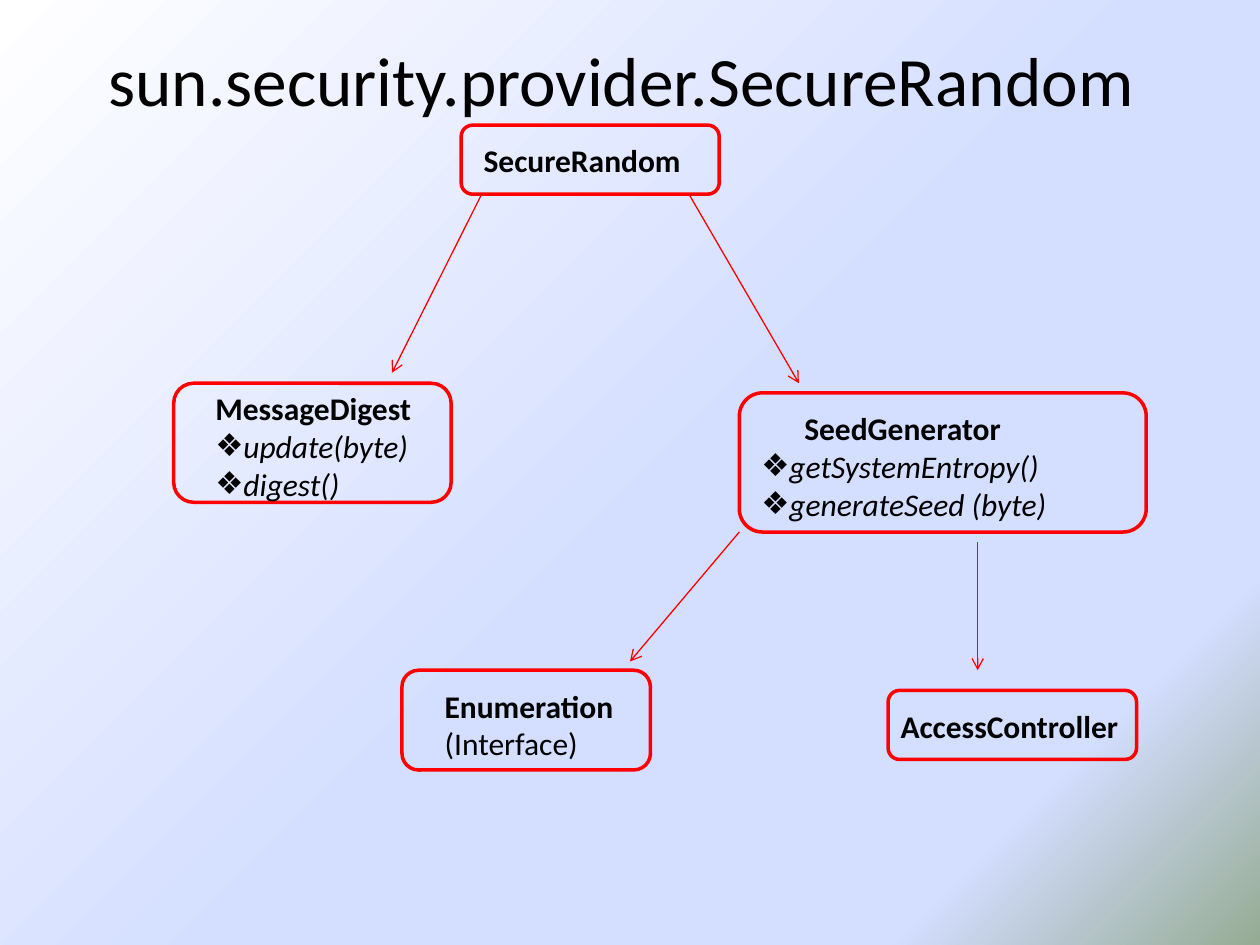
"""Build a class diagram slide for SecureRandom."""
import pptx
import pptx.util
import pptx.dml.color
import pptx.enum.shapes
import pptx.enum.text
import pptx.oxml
import pptx.oxml.ns
import lxml.etree

Pt = pptx.util.Pt
COLORS = {"text": "000000", "line": "FF0000", "white": "FFFFFF",
          "blue": "D4DEFF", "green": "96AB94"}
STOPS = [(0, "white"), (53, "blue"), (83, "blue"), (100, "green")]
FONT = "Calibri"


def rgb(name):
    return pptx.dml.color.RGBColor.from_string(COLORS[name])


def sub(parent, tag, **attrs):
    return lxml.etree.SubElement(parent, pptx.oxml.ns.qn(tag), **attrs)


def set_background(s):
    fill = s.background.fill
    fill.gradient()
    fill.gradient_angle = 315
    stops = s.background._cSld.find(".//" + pptx.oxml.ns.qn("a:gsLst"))
    for gs in list(stops):
        stops.remove(gs)
    for pos, name in STOPS:
        gs = sub(stops, "a:gs", pos=str(pos * 1000))
        sub(gs, "a:srgbClr", val=COLORS[name])


def write(p, text, size=18, bold=False, italic=False, bullet=None, indent=0, align=None):
    r = p.add_run()
    r.text = text
    r.font.name, r.font.size = FONT, Pt(size)
    r.font.bold, r.font.italic = bold, italic
    r.font.color.rgb = rgb("text")
    p.alignment = align
    pPr = p._p.get_or_add_pPr()
    pPr.set("marL", str(Pt(indent)))
    pPr.set("indent", "0")
    if bullet:
        sub(pPr, "a:buFont", typeface=FONT)
        sub(pPr, "a:buChar", char=bullet)


def add_title(s, text):
    sp = s.shapes.title
    sp.left, sp.top, sp.width, sp.height = Pt(31), Pt(0), Pt(648), Pt(90)
    tf = sp.text_frame
    tf.vertical_anchor = pptx.enum.text.MSO_ANCHOR.MIDDLE
    write(tf.paragraphs[0], text, size=39.6, align=pptx.enum.text.PP_ALIGN.CENTER)


def add_frame(s, x, y, w, h):
    sp = s.shapes.add_shape(pptx.enum.shapes.MSO_SHAPE.ROUNDED_RECTANGLE,
                            Pt(x), Pt(y), Pt(w), Pt(h))
    sp.shadow.inherit = False
    sp.fill.background()
    sp.line.color.rgb = rgb("line")
    sp.line.width = Pt(2)


def add_label(s, x, y, w, h, name, methods=(), note=None, indent=0):
    tf = s.shapes.add_textbox(Pt(x), Pt(y), Pt(w), Pt(h)).text_frame
    tf.word_wrap = True
    tf.auto_size = pptx.enum.text.MSO_AUTO_SIZE.SHAPE_TO_FIT_TEXT
    write(tf.paragraphs[0], name, bold=True, indent=indent)
    for method in methods:
        write(tf.add_paragraph(), method, italic=True, bullet="❖")
    if note:
        write(tf.add_paragraph(), note)


def add_arrow(s, x1, y1, x2, y2):
    sp = s.shapes.add_connector(pptx.enum.shapes.MSO_CONNECTOR.STRAIGHT,
                                Pt(x1), Pt(y1), Pt(x2), Pt(y2))
    sp.line.color.rgb = rgb("line")
    sp.line.width = Pt(0.75)
    sub(sp.line._get_or_add_ln(), "a:tailEnd", type="arrow")
    sub(sp._element.spPr, "a:effectLst")


def main():
    prs = pptx.Presentation()
    prs.slide_width, prs.slide_height = Pt(720), Pt(540)
    s = prs.slides.add_slide(prs.slide_layouts[5])
    set_background(s)
    add_title(s, "sun.security.provider.SecureRandom")

    classes = [
        ((263.5, 71.5, 147.5, 39.5), (269.3, 77, 136, 29), dict(name="SecureRandom")),
        ((99.3, 219, 158.5, 68), (116, 219, 136, 73),
         dict(name="MessageDigest", methods=["update(byte)", "digest()"])),
        ((422.5, 224.5, 232.5, 79.5), (428, 230.4, 209.5, 73),
         dict(name="SeedGenerator", indent=24.5,
              methods=["getSystemEntropy()", "generateSeed (byte)"])),
        ((507.5, 394.5, 142, 39.5), (507.5, 400.3, 181.5, 29), dict(name="AccessController")),
        ((229.7, 383, 142, 57), (247, 388.8, 119, 51),
         dict(name="Enumeration", note="(Interface)")),
    ]
    for frame, label, content in classes:
        add_frame(s, *frame)
        add_label(s, *label, **content)

    for ends in [(275, 111.5, 224, 213), (394, 111.5, 456.5, 219),
                 (558.7, 309.6, 558.7, 383), (422.5, 304, 360, 378)]:
        add_arrow(s, *ends)
    prs.save("out.pptx")


if __name__ == "__main__":
    main()
